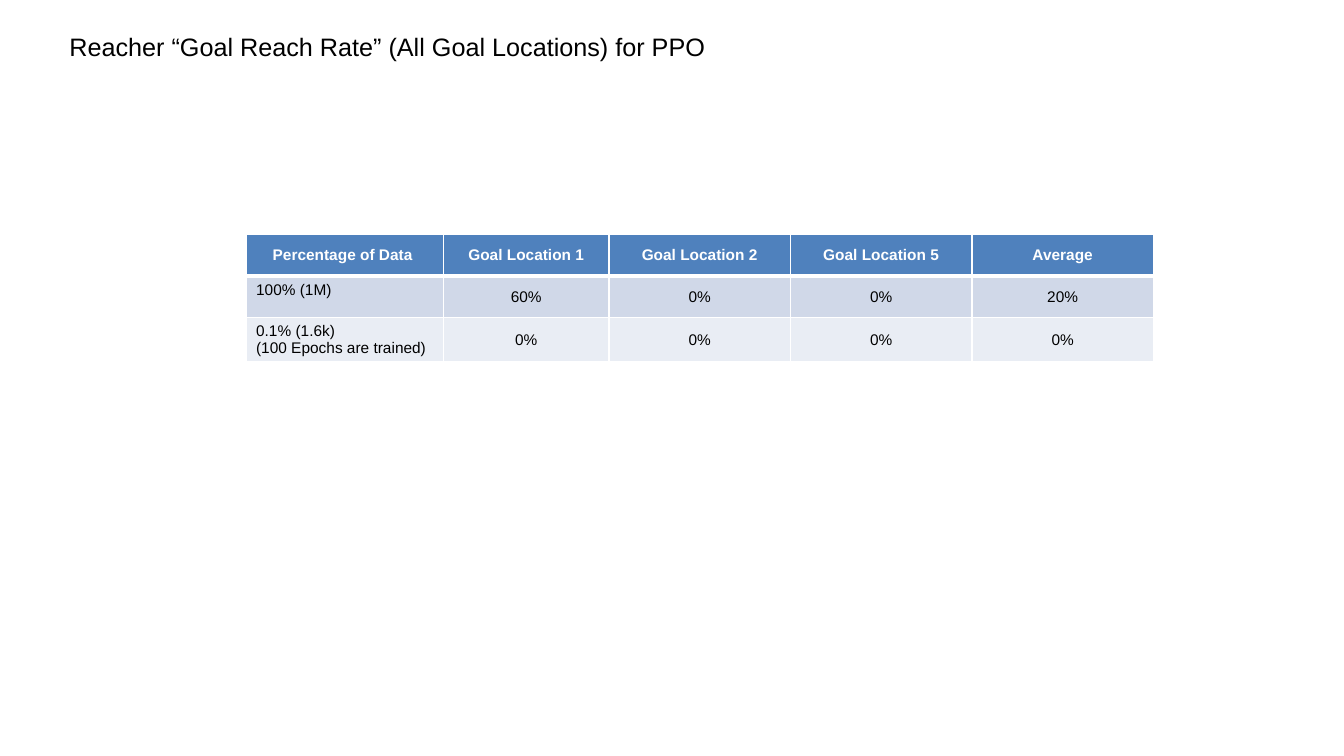
from dataclasses import dataclass

from lxml.etree import SubElement
from pptx import Presentation
from pptx.dml.color import RGBColor
from pptx.enum.text import MSO_ANCHOR, MSO_AUTO_SIZE, PP_ALIGN
from pptx.oxml.ns import qn
from pptx.slide import Slide
from pptx.table import _Cell
from pptx.text.text import TextFrame
from pptx.util import Inches, Pt

FONT = "Arial"
BLACK, WHITE = "000000", "FFFFFF"
COLUMN_WIDTHS = (1.96, 1.64, 1.8, 1.8, 1.8)
ROW_HEIGHT = 0.41


@dataclass(frozen=True)
class TextStyle:
    size: float
    color: str = BLACK
    bold: bool = False


@dataclass(frozen=True)
class ReachRow:
    values: tuple[str, ...]
    fill: str
    style: TextStyle
    top_border: float = 1
    bottom_border: float = 1
    label_centered: bool = False


TITLE_STYLE = TextStyle(18)
HEADER_STYLE = TextStyle(11, WHITE, True)
BODY_STYLE = TextStyle(11)

REACH_ROWS = (
    ReachRow(("Percentage of Data ", "Goal Location 1", "Goal Location 2",
              "Goal Location 5", "Average"),
             "4F81BD", HEADER_STYLE, bottom_border=3, label_centered=True),
    ReachRow(("100% (1M)", "60%", "0%", "0%", "20%"),
             "D0D8E8", BODY_STYLE, top_border=3),
    ReachRow(("0.1% (1.6k)\n(100 Epochs are trained)", "0%", "0%", "0%", "0%"),
             "E9EDF4", BODY_STYLE),
)


def rgb(color: str) -> RGBColor:
    return RGBColor.from_string(color)


def write_text(frame: TextFrame, text: str, style: TextStyle, align: PP_ALIGN) -> None:
    """Write each line of the text as its own paragraph."""
    for index, line in enumerate(text.split("\n")):
        paragraph = frame.add_paragraph() if index else frame.paragraphs[0]
        paragraph.alignment = align
        run = paragraph.add_run()
        run.text = line
        run.font.name = FONT
        run.font.size = Pt(style.size)
        run.font.bold = style.bold
        run.font.color.rgb = rgb(style.color)


def set_borders(cell: _Cell, top: float, bottom: float) -> None:
    """Add white borders; they must precede the cell's fill in the XML."""
    properties = cell._tc.get_or_add_tcPr()
    for side, width in (("L", 1), ("R", 1), ("T", top), ("B", bottom)):
        line = SubElement(properties, qn(f"a:ln{side}"), w=str(Pt(width)))
        fill = SubElement(line, qn("a:solidFill"))
        SubElement(fill, qn("a:srgbClr"), val=WHITE)


def add_title(slide: Slide, text: str) -> None:
    shape = slide.shapes.add_textbox(Inches(0.59), Inches(0.26), Inches(12.1), Inches(0.4))
    frame = shape.text_frame
    frame.word_wrap = True
    frame.auto_size = MSO_AUTO_SIZE.SHAPE_TO_FIT_TEXT
    write_text(frame, text, TITLE_STYLE, PP_ALIGN.LEFT)


def add_reach_table(slide: Slide) -> None:
    shape = slide.shapes.add_table(
        len(REACH_ROWS), len(COLUMN_WIDTHS), Inches(2.44), Inches(2.33),
        Inches(sum(COLUMN_WIDTHS)), Inches(ROW_HEIGHT * len(REACH_ROWS)))
    table = shape.table
    for column, width in zip(table.columns, COLUMN_WIDTHS):
        column.width = Inches(width)
    for table_row, reach_row in zip(table.rows, REACH_ROWS):
        table_row.height = Inches(ROW_HEIGHT)
        for index, (cell, value) in enumerate(zip(table_row.cells, reach_row.values)):
            centered = index > 0 or reach_row.label_centered
            set_borders(cell, reach_row.top_border, reach_row.bottom_border)
            cell.fill.solid()
            cell.fill.fore_color.rgb = rgb(reach_row.fill)
            cell.vertical_anchor = MSO_ANCHOR.MIDDLE if centered else MSO_ANCHOR.TOP
            write_text(cell.text_frame, value, reach_row.style,
                       PP_ALIGN.CENTER if centered else PP_ALIGN.LEFT)


def main() -> None:
    presentation = Presentation()
    presentation.slide_width = Inches(13.33)
    presentation.slide_height = Inches(7.5)
    slide = presentation.slides.add_slide(presentation.slide_layouts[6])
    add_reach_table(slide)
    add_title(slide, "Reacher “Goal Reach Rate” (All Goal Locations) for PPO")
    presentation.save("out.pptx")


if __name__ == "__main__":
    main()
